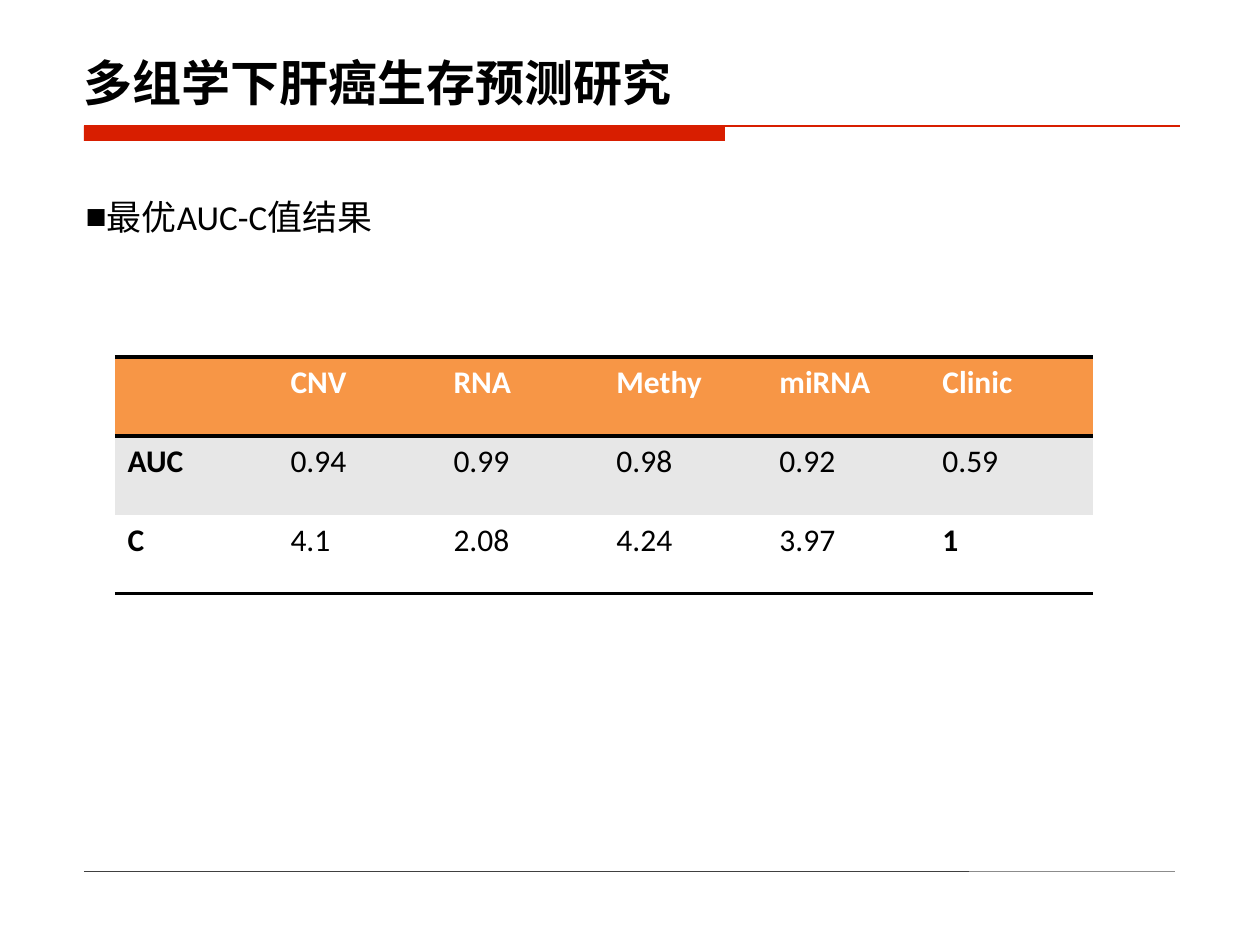
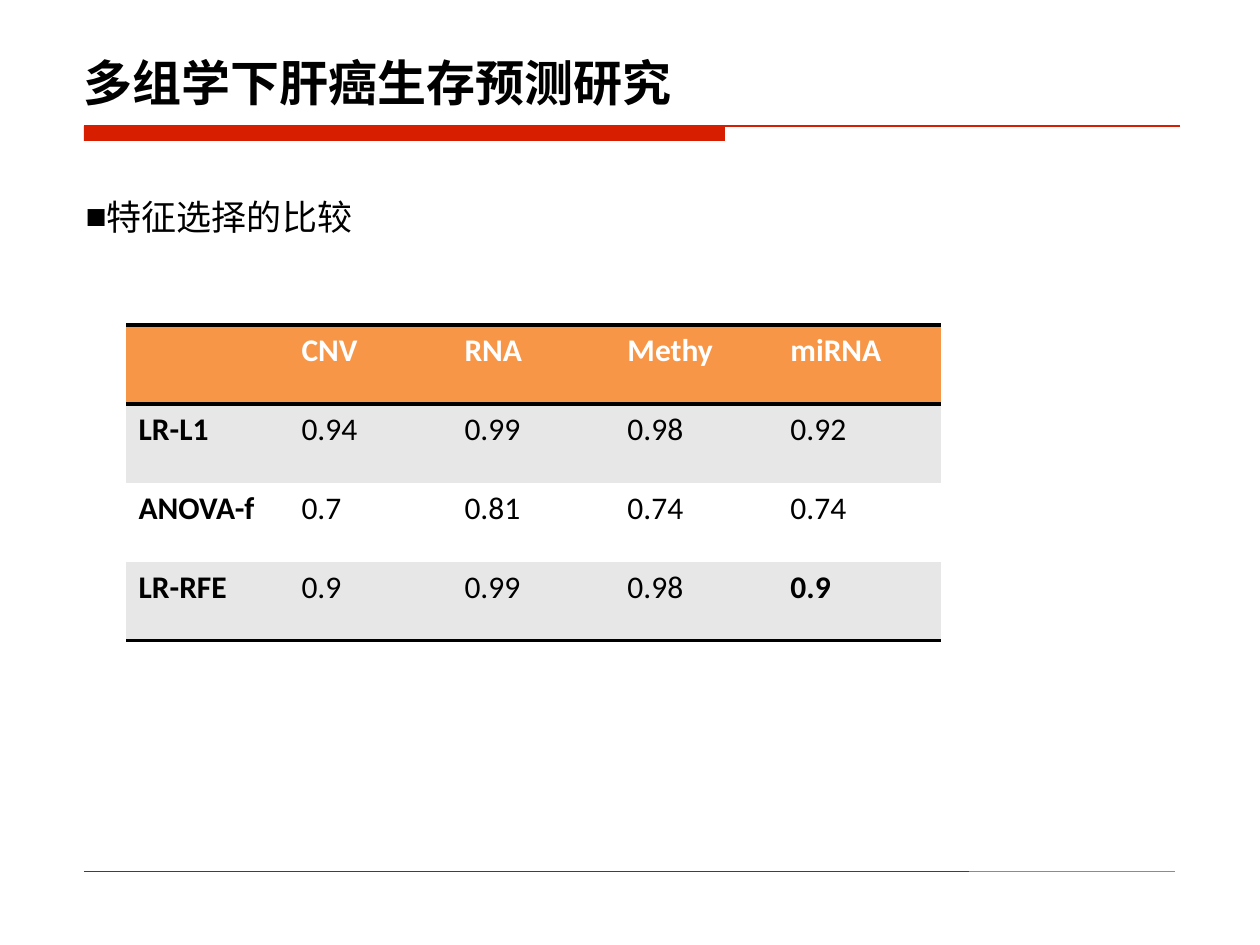
from dataclasses import dataclass

from lxml.etree import SubElement
from pptx import Presentation
from pptx.dml.color import RGBColor
from pptx.enum.shapes import MSO_CONNECTOR, MSO_SHAPE
from pptx.enum.text import MSO_ANCHOR, MSO_AUTO_SIZE, PP_ALIGN
from pptx.oxml.ns import qn
from pptx.util import Emu, Pt

EMU_PER_PX = 914400 / 126
FONT = "Calibri"
COLORS = {
    "red": "D81E00",
    "orange": "F79646",
    "band": "E7E7E7",
    "white": "FFFFFF",
    "black": "000000",
    "footer_dark": "404040",
    "footer_light": "8C8C8C",
}
TITLE = "多组学下肝癌生存预测研究"
COLUMN_WIDTH = 163
ROW_HEIGHT = 79
BORDER_PT = 2


@dataclass(frozen=True)
class Rule:
    left: int
    right: int
    y: int
    color: str
    weight: float


@dataclass(frozen=True)
class ResultSlide:
    heading: str
    left: int
    top: int
    rows: list[list[str]]


RULES = [
    Rule(84, 1180, 126, "red", 0.75),
    Rule(84, 969, 871, "footer_dark", 0.33),
    Rule(969, 1175, 871, "footer_light", 0.33),
]
RESULTS = [
    ResultSlide("最优AUC-C值结果", 115, 357, [
        ["", "CNV", "RNA", "Methy", "miRNA", "Clinic"],
        ["AUC", "0.94", "0.99", "0.98", "0.92", "0.59"],
        ["C", "4.1", "2.08", "4.24", "3.97", "1"],
    ]),
    ResultSlide("特征选择的比较", 126, 325, [
        ["", "CNV", "RNA", "Methy", "miRNA"],
        ["LR-L1", "0.94", "0.99", "0.98", "0.92"],
        ["ANOVA-f", "0.7", "0.81", "0.74", "0.74"],
        ["LR-RFE", "0.9", "0.99", "0.98", "0.9"],
    ]),
]


def px(length: int) -> Emu:
    return Emu(round(length * EMU_PER_PX))


def rgb(color: str) -> RGBColor:
    return RGBColor.from_string(COLORS[color])


def place(shape, left: int, top: int, width: int, height: int) -> None:
    shape.left, shape.top = px(left), px(top)
    shape.width, shape.height = px(width), px(height)


def write(frame, text: str, *, size: int, color: str = "black",
          bold: bool = False, bullet: str = "") -> None:
    frame.text = text
    paragraph = frame.paragraphs[0]
    paragraph.alignment = PP_ALIGN.LEFT
    paragraph.space_before = Pt(0)
    if bullet:
        properties = paragraph._p.get_or_add_pPr()
        properties.set("marL", "0")
        properties.set("indent", "0")
        SubElement(properties, qn("a:buChar"), char=bullet)
    font = paragraph.font
    for target in [font, *(run.font for run in paragraph.runs)]:
        target.name, target.size, target.bold = FONT, Pt(size), bold
        target.color.rgb = rgb(color)


def draw_rule(slide, rule: Rule) -> None:
    line = slide.shapes.add_connector(
        MSO_CONNECTOR.STRAIGHT, px(rule.left), px(rule.y), px(rule.right), px(rule.y))
    line.line.color.rgb = rgb(rule.color)
    line.line.width = Pt(rule.weight)
    SubElement(line._element.spPr, qn("a:effectLst"))


def draw_frame(slide) -> None:
    band = slide.shapes.add_shape(
        MSO_SHAPE.RECTANGLE, px(84), px(126), px(641), px(15))
    band.shadow.inherit = False
    band.fill.solid()
    band.fill.fore_color.rgb = rgb("red")
    band.line.fill.background()
    for rule in RULES:
        draw_rule(slide, rule)


def set_borders(cell, *, top: bool, bottom: bool) -> None:
    properties = cell._tc.get_or_add_tcPr()
    sides = {"lnL": False, "lnR": False, "lnT": top, "lnB": bottom}
    for side, visible in sides.items():
        border = SubElement(properties, qn(f"a:{side}"), w=str(Pt(BORDER_PT)))
        if visible:
            fill = SubElement(border, qn("a:solidFill"))
            SubElement(fill, qn("a:srgbClr"), val=COLORS["black"])
        else:
            SubElement(border, qn("a:noFill"))


def draw_results(slide, result: ResultSlide) -> None:
    row_count, column_count = len(result.rows), len(result.rows[0])
    table = slide.shapes.add_table(
        row_count, column_count, px(result.left), px(result.top),
        px(column_count * COLUMN_WIDTH), px(row_count * ROW_HEIGHT)).table
    table.first_row = table.horz_banding = False
    for column in table.columns:
        column.width = px(COLUMN_WIDTH)
    last_row, last_column = row_count - 1, column_count - 1
    for r, values in enumerate(result.rows):
        table.rows[r].height = px(ROW_HEIGHT)
        background = "orange" if r == 0 else "band" if r % 2 else "white"
        for c, value in enumerate(values):
            cell = table.cell(r, c)
            set_borders(cell, top=r in (0, 1), bottom=r in (0, last_row))
            cell.fill.solid()
            cell.fill.fore_color.rgb = rgb(background)
            write(cell.text_frame, value, size=18,
                  color="white" if r == 0 else "black",
                  bold=r == 0 or c == 0 or (r, c) == (last_row, last_column))


def add_result_slide(presentation, result: ResultSlide) -> None:
    slide = presentation.slides.add_slide(presentation.slide_layouts[1])
    draw_frame(slide)
    title, heading = slide.shapes.title, slide.placeholders[1]
    place(title, 84, 53, 1092, 96)
    place(heading, 73, 189, 1092, 55)
    for placeholder in (title, heading):
        frame = placeholder.text_frame
        frame.auto_size = MSO_AUTO_SIZE.NONE
        frame.vertical_anchor = MSO_ANCHOR.TOP
        frame.word_wrap = True
    frame = title.text_frame
    frame.margin_left = frame.margin_right = frame.margin_top = frame.margin_bottom = 0
    write(frame, TITLE, size=28, bold=True)
    write(heading.text_frame, result.heading, size=20, bullet="■")
    draw_results(slide, result)


def main() -> None:
    presentation = Presentation()
    presentation.slide_width, presentation.slide_height = px(1260), px(945)
    for result in RESULTS:
        add_result_slide(presentation, result)
    presentation.save("out.pptx")


if __name__ == "__main__":
    main()
